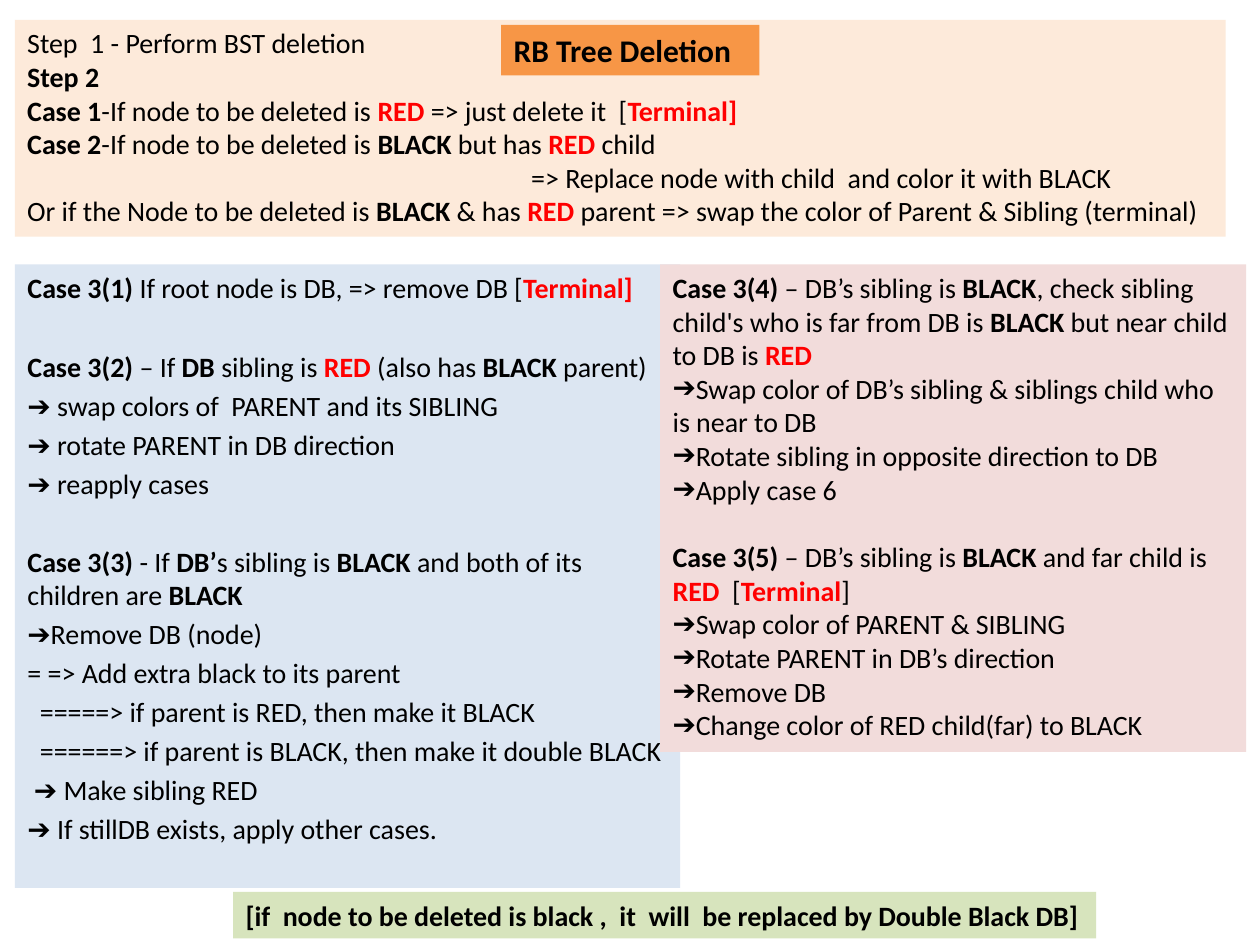
from lxml import etree
from pptx import Presentation
from pptx.dml.color import RGBColor
from pptx.enum.text import MSO_ANCHOR, MSO_AUTO_SIZE, PP_ALIGN
from pptx.oxml.ns import qn
from pptx.util import Cm, Pt

TOP, LEFT = MSO_ANCHOR.TOP, PP_ALIGN.LEFT
GROW, FIXED = MSO_AUTO_SIZE.SHAPE_TO_FIT_TEXT, MSO_AUTO_SIZE.NONE

THEME = {
    "font": "Calibri",
    "text": RGBColor.from_string("000000"),
    "accent": RGBColor.from_string("FF0000"),
    "steps": RGBColor.from_string("FDEADA"),
    "left_cases": RGBColor.from_string("DCE6F2"),
    "right_cases": RGBColor.from_string("F2DCDB"),
    "note": RGBColor.from_string("D7E4BD"),
    "heading": RGBColor.from_string("F79646"),
    "body_size": Pt(16),
    "heading_size": Pt(18),
}


def write_paragraph(paragraph, marked_text, size, before, indent=0, bullet=None):
    """Text between asterisks is bold; a leading ! also makes it red."""
    properties = paragraph._p.get_or_add_pPr()
    properties.set("marL", str(int(indent)))
    properties.set("indent", "0")
    if bullet:
        etree.SubElement(properties, qn("a:buFont")).set("typeface", THEME["font"])
        etree.SubElement(properties, qn("a:buChar")).set("char", bullet)
    else:
        etree.SubElement(properties, qn("a:buNone"))
    paragraph.alignment = LEFT
    paragraph.space_before = before
    for position, part in enumerate(marked_text.split("*")):
        if not part:
            continue
        run = paragraph.add_run()
        run.text = part.removeprefix("!")
        run.font.color.rgb = THEME["accent" if part.startswith("!") else "text"]
        font_format = {"name": THEME["font"], "size": size, "bold": position % 2 == 1}
        for attribute, value in font_format.items():
            setattr(run.font, attribute, value)


def fill_panel(panel, place, color, lines, size=THEME["body_size"], spacing=Pt(0), fit=GROW):
    geometry = dict(zip(("left", "top", "width", "height"), map(Cm, place)))
    for attribute, value in geometry.items():
        setattr(panel, attribute, value)
    panel.fill.solid()
    panel.fill.fore_color.rgb = color
    frame = panel.text_frame
    frame_format = {"word_wrap": True, "auto_size": fit, "vertical_anchor": TOP}
    for attribute, value in frame_format.items():
        setattr(frame, attribute, value)
    for number, (text, options) in enumerate(lines):
        paragraph = frame.add_paragraph() if number else frame.paragraphs[0]
        before = spacing if number else Pt(0)
        write_paragraph(paragraph, text, size, **{"before": before, **options})


presentation = Presentation()
presentation.slide_width, presentation.slide_height = Cm(25.4), Cm(19.05)
slide = presentation.slides.add_slide(presentation.slide_layouts[1])

arrow = {"bullet": "➔"}
left_gap = {"before": Pt(25.6)}
right_gap = {"before": Pt(19.5)}

left_lines = [
    ("*Case 3(1) *If root node is DB, => remove DB [*!Terminal]*", {}),
    ("*Case 3(2)* – If *DB* sibling is *!RED* (also has *BLACK* parent)", left_gap),
    ("➔ swap colors of  PARENT and its SIBLING", {}),
    ("➔ rotate PARENT in DB direction", {}),
    ("➔ reapply cases", {}),
    ("*Case 3(3) *- If *DB’*s sibling is *BLACK* and both of its children are *BLACK*", left_gap),
    ("➔Remove DB (node)", {}),
    ("= => Add extra black to its parent", {}),
    ("=====> if parent is RED, then make it BLACK", {"indent": Cm(0.25)}),
    ("======> if parent is BLACK, then make it double BLACK", {"indent": Cm(0.25)}),
    ("➔ Make sibling RED", {"indent": Cm(0.13)}),
    ("➔ If stillDB exists, apply other cases.", {}),
]
right_lines = [
    ("*Case 3(4) *– DB’s sibling is *BLACK*, check sibling child's who is far from DB is "
     "*BLACK* but near child to DB is *!RED*", {}),
    ("Swap color of DB’s sibling & siblings child who is near to DB", arrow),
    ("Rotate sibling in opposite direction to DB", arrow),
    ("Apply case 6", arrow),
    ("*Case 3(5)* – DB’s sibling is *BLACK* and far child is *!RED  *[*!Terminal*]", right_gap),
    ("Swap color of PARENT & SIBLING", arrow),
    ("Rotate PARENT in DB’s direction", arrow),
    ("Remove DB", arrow),
    ("Change color of RED child(far) to BLACK", arrow),
]
step_lines = [
    ("Step  1 - Perform BST deletion", {}),
    ("*Step 2*", {}),
    ("*Case 1*-If node to be deleted is *!RED* => just delete it  [*!Terminal]*", {}),
    ("*Case 2*-If node to be deleted is *BLACK* but has *!RED* child", {}),
    ("=> Replace node with child  and color it with BLACK", {"indent": Cm(10.16)}),
    ("Or if the Node to be deleted is *BLACK* & has *!RED* parent "
     "=> swap the color of Parent & Sibling (terminal)", {}),
]
note_lines = [
    ("*[if  node to be deleted is black ,  it  will  be replaced by Double Black DB]*", {}),
]

fill_panel(slide.placeholders[1], (0.3, 5.33, 13.41, 12.57), THEME["left_cases"],
           left_lines, spacing=Pt(3.1), fit=FIXED)

for place, color, lines in (
    ((13.31, 5.33, 11.81, 9.83), THEME["right_cases"], right_lines),
    ((0.3, 0.4, 24.41, 4.37), THEME["steps"], step_lines),
    ((4.7, 17.98, 17.4, 0.94), THEME["note"], note_lines),
):
    fill_panel(slide.shapes.add_textbox(*map(Cm, place)), place, color, lines)

heading = slide.shapes.title
fill_panel(heading, (10.1, 0.5, 5.21, 1.02), THEME["heading"],
           [("*RB Tree Deletion*", {})], size=THEME["heading_size"], fit=FIXED)
heading.element.getparent().append(heading.element)

presentation.save("out.pptx")
